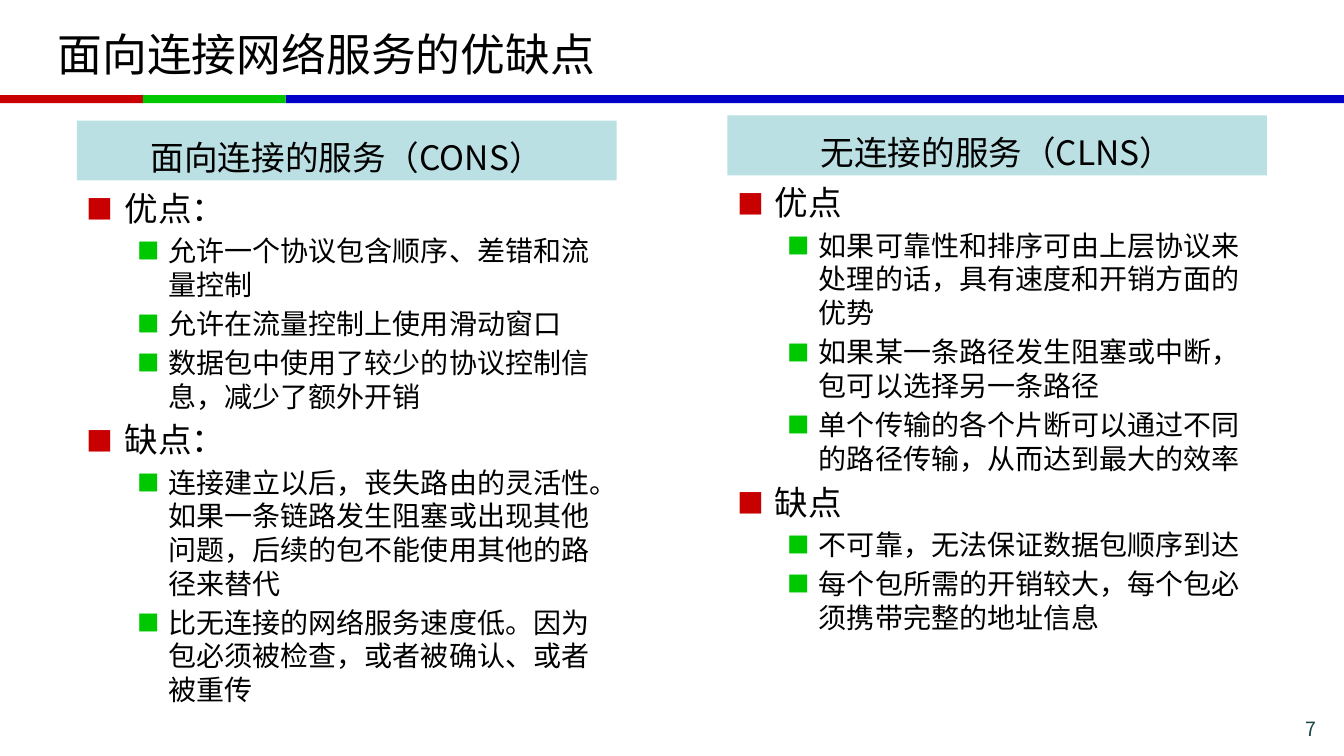
from lxml.etree import SubElement
from pptx import Presentation
from pptx.dml.color import RGBColor
from pptx.enum.shapes import MSO_SHAPE as Shape
from pptx.enum.text import MSO_ANCHOR as Anchor, PP_ALIGN as Align
from pptx.oxml.ns import qn
from pptx.util import Cm, Pt

FONT = "Noto Sans CJK SC"
BLACK, RED, GREEN, BLUE = "000000", "C80000", "00C800", "0000C8"
PALE, SLATE = "BBE0E3", "1E4649"
LEVELS = [
    {"size": 24, "margin": 0.95, "hang": 0.95, "color": RED},
    {"size": 20, "margin": 2.06, "hang": 0.79, "color": GREEN},
]
LINE_FACTOR = 1.2
HEADER_HEIGHT = 1.51

CONNECTED = [
    ("优点：", [
        "允许一个协议包含顺序、差错和流量控制",
        "允许在流量控制上使用滑动窗口",
        "数据包中使用了较少的协议控制信息，减少了额外开销",
    ]),
    ("缺点：", [
        "连接建立以后，丧失路由的灵活性。如果一条链路发生阻塞或出现其他问题，"
        "后续的包不能使用其他的路径来替代",
        "比无连接的网络服务速度低。因为包必须被检查，或者被确认、或者被重传",
    ]),
]
CONNECTIONLESS = [
    ("优点", [
        "如果可靠性和排序可由上层协议来处理的话，具有速度和开销方面的优势",
        "如果某一条路径发生阻塞或中断，包可以选择另一条路径",
        "单个传输的各个片断可以通过不同的路径传输，从而达到最大的效率",
    ]),
    ("缺点", [
        "不可靠，无法保证数据包顺序到达",
        "每个包所需的开销较大，每个包必须携带完整的地址信息",
    ]),
]


def rgb(value):
    return RGBColor.from_string(value)


def add_bar(page, left, top, width, height, color):
    bar = page.shapes.add_shape(Shape.RECTANGLE, Cm(left), Cm(top), Cm(width), Cm(height))
    bar.shadow.inherit = False
    bar.fill.solid()
    bar.fill.fore_color.rgb = rgb(color)
    bar.line.fill.background()
    return bar


def add_text_box(page, left, top, width, height):
    box = page.shapes.add_textbox(Cm(left), Cm(top), Cm(width), Cm(height))
    box.text_frame.word_wrap = True
    return box.text_frame


def write(para, text, size, color=BLACK, line_factor=LINE_FACTOR):
    para.line_spacing = Pt(round(size * line_factor, 1))
    span = para.add_run()
    span.text = text
    span.font.size = Pt(size)
    span.font.name = FONT
    span.font.color.rgb = rgb(color)
    east_asian = SubElement(span.font._element, qn("a:ea"))
    east_asian.set("typeface", FONT)


def add_bullet(para, level):
    style = LEVELS[level]
    props = para._p.get_or_add_pPr()
    props.set("marL", str(Cm(style["margin"])))
    props.set("indent", str(-Cm(style["hang"])))
    color = SubElement(props, qn("a:buClr"))
    SubElement(color, qn("a:srgbClr")).set("val", style["color"])
    SubElement(props, qn("a:buSzPct")).set("val", "80000")
    SubElement(props, qn("a:buFont")).set("typeface", FONT)
    SubElement(props, qn("a:buChar")).set("char", "■")
    para.level = level


def add_title(page, left, top, width, height, text):
    frame = add_text_box(page, left, top, width, height)
    frame.vertical_anchor = Anchor.MIDDLE
    write(frame.paragraphs[0], text, 32)


def add_rule(page, left, top, width, height):
    accent = 3.6
    add_bar(page, left + 2 * accent, top, width - 2 * accent, height, BLUE)
    for index, color in enumerate((RED, GREEN)):
        add_bar(page, left + index * accent, top, accent, height, color)


def add_header(page, left, top, width, height, text):
    frame = add_bar(page, left, top, width, height, PALE).text_frame
    frame.word_wrap = True
    frame.vertical_anchor = Anchor.MIDDLE
    frame.margin_left = frame.margin_right = Cm(0.3)
    frame.margin_top, frame.margin_bottom = Cm(0.25), Cm(0.12)
    para = frame.paragraphs[0]
    para.alignment = Align.CENTER
    write(para, text, 24, line_factor=LINE_FACTOR * 1.2)


def add_column(page, left, top, width, height, heading, sections):
    add_header(page, left, top, width, HEADER_HEIGHT, heading)
    frame = add_text_box(page, left, top + HEADER_HEIGHT + 0.05, width, height - HEADER_HEIGHT)
    lines = []
    for label, points in sections:
        lines.append((0, label))
        lines.extend((1, point) for point in points)
    for index, (level, text) in enumerate(lines):
        para = frame.add_paragraph() if index else frame.paragraphs[0]
        size = LEVELS[level]["size"]
        add_bullet(para, level)
        if index:
            para.space_before = Pt(size * 0.2)
        write(para, text, size)


def add_page_number(page, left, top, width, height, text):
    frame = add_text_box(page, left, top, width, height)
    para = frame.paragraphs[0]
    para.alignment = Align.RIGHT
    write(para, text, 14, SLATE)


def main():
    deck = Presentation()
    deck.slide_width, deck.slide_height = Cm(33.87), Cm(19.05)
    page = deck.slides.add_slide(deck.slide_layouts[6])
    add_rule(page, 0, 2.4, 33.87, 0.2)
    add_title(page, 1.2, 0.28, 31.47, 2.13, "面向连接网络服务的优缺点")
    add_column(page, 1.94, 3.04, 13.6, 15.5, "面向连接的服务（CONS）", CONNECTED)
    add_column(page, 18.33, 2.91, 13.6, 15.5, "无连接的服务（CLNS）", CONNECTIONLESS)
    add_page_number(page, 30.13, 17.94, 3.3, 0.7, "7")
    deck.save("out.pptx")


if __name__ == "__main__":
    main()
